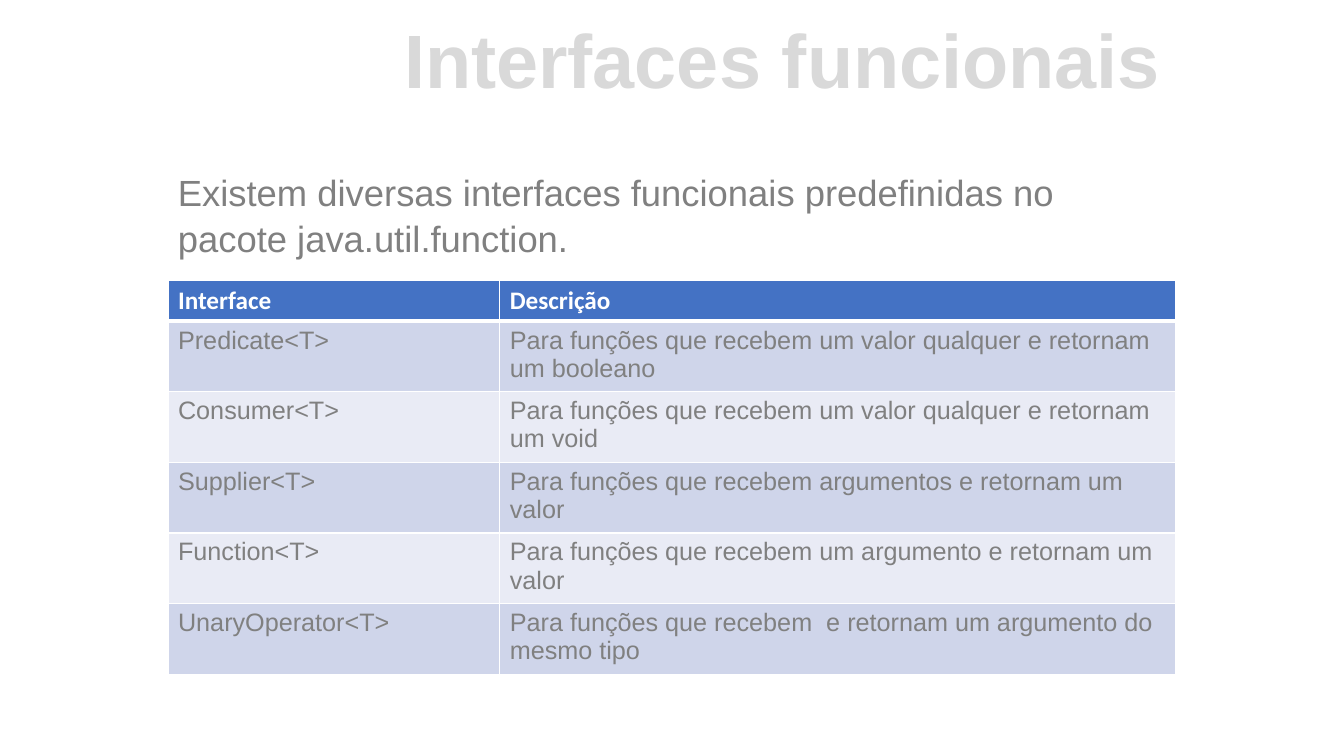
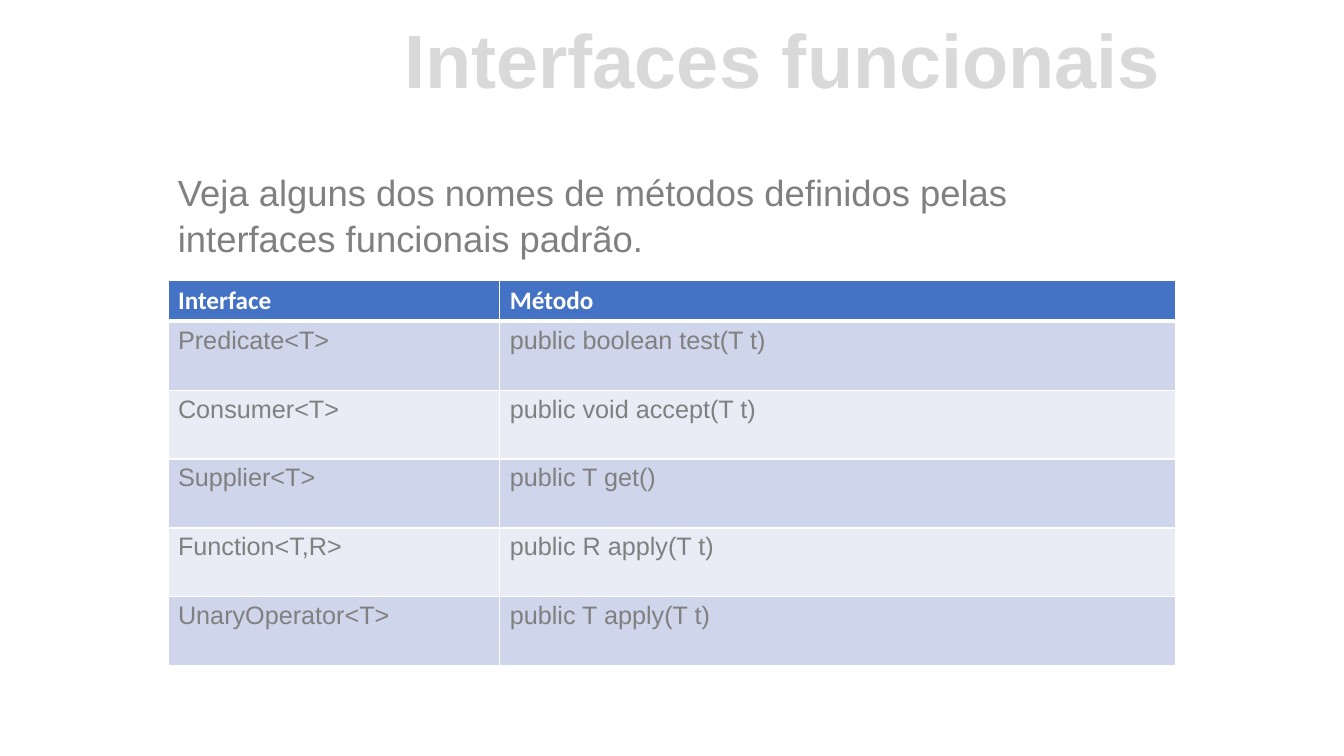
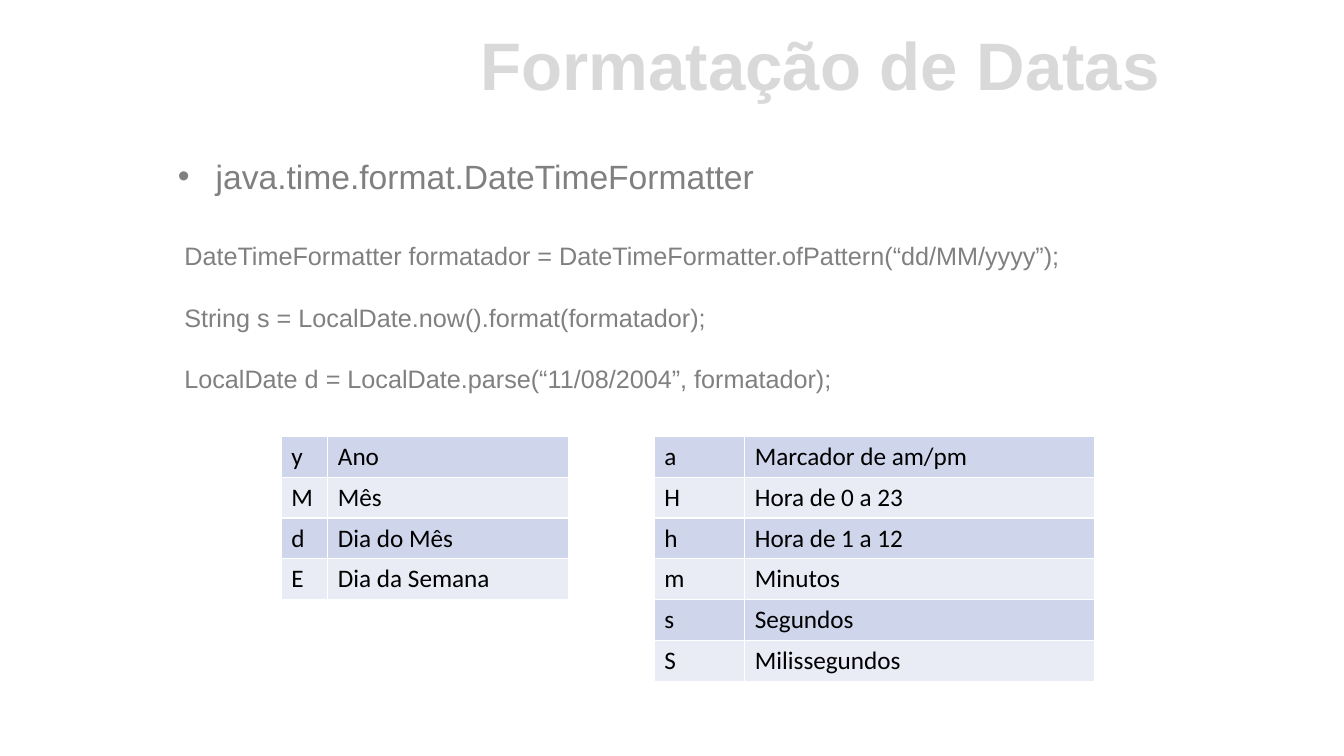
from lxml.etree import SubElement
from pptx import Presentation
from pptx.dml.color import RGBColor
from pptx.enum.text import MSO_ANCHOR, PP_ALIGN
from pptx.oxml.ns import qn
from pptx.util import Pt

WHITE, BLACK, GREY, PALE = "FFFFFF", "000000", "808080", "D9D9D9"
BLUE, BANDS = "4472C4", ("CFD5EA", "E9EBF5")
LEFT, WIDTH = 120, 720
ROW, TALL = 29.2, 49.25


def color(code):
    """Turn a hex string into a colour."""
    return RGBColor.from_string(code)


def write(frame, text, size=18, font="Arial", ink=GREY, bold=False,
          align=PP_ALIGN.LEFT, line=None, gap=0, first=0, bullet=None):
    """Fill a text frame, one paragraph per line of text."""
    frame.word_wrap = True
    for i, words in enumerate(text.split("\n")):
        para = frame.add_paragraph() if i else frame.paragraphs[0]
        para.alignment = align
        para.space_before = Pt(gap if i else first)
        if line:
            para.line_spacing = line
        if bullet:
            props = para._p.get_or_add_pPr()
            props.set("marL", str(Pt(27)))
            props.set("indent", str(-Pt(27)))
            SubElement(props, qn("a:buFont"), typeface="Arial")
            SubElement(props, qn("a:buChar"), char=bullet)
        run = para.add_run()
        run.text = words
        run.font.size, run.font.name, run.font.bold = Pt(size), font, bold
        run.font.color.rgb = color(ink)


def label(slide, box, text, anchor=MSO_ANCHOR.TOP, **style):
    """Add a text box with formatted text."""
    frame = slide.shapes.add_textbox(*map(Pt, box)).text_frame
    frame.vertical_anchor = anchor
    write(frame, text, **style)


def edge(cell, **widths):
    """Draw white cell borders; L, R, T and B give widths in points."""
    props = cell._tc.get_or_add_tcPr()
    for side in "LRTB":
        line = SubElement(props, qn("a:ln" + side), w=str(Pt(widths.get(side, 1))))
        fill = SubElement(line, qn("a:solidFill"))
        SubElement(fill, qn("a:srgbClr"), val=WHITE)


def grid(slide, left, top, cols, rows, head=None, high=ROW, **style):
    """Add a banded table, with an optional blue header row."""
    lines = ([head] if head else []) + rows
    lead = len(lines) - len(rows)
    tall = lead * ROW + len(rows) * high
    box = map(Pt, (left, top, sum(cols), tall))
    table = slide.shapes.add_table(len(lines), len(cols), *box).table
    table.first_row = table.horz_banding = False
    for col, width in zip(table.columns, cols):
        col.width = Pt(width)
    for i, texts in enumerate(lines):
        top_row = i < lead
        table.rows[i].height = Pt(ROW if top_row else high)
        look = dict(font="Calibri", ink=WHITE, bold=True) if top_row else style
        for j, text in enumerate(texts):
            cell = table.cell(i, j)
            edge(cell, B=3 if top_row else 1, T=3 if lead and i == 1 else 1)
            cell.fill.solid()
            cell.fill.fore_color.rgb = color(BLUE if top_row else BANDS[(i - lead) % 2])
            write(cell.text_frame, text, **look)


def start(deck, title, size=54):
    """Add a blank slide with its pale title."""
    slide = deck.slides.add_slide(deck.slide_layouts[6])
    label(slide, (233.3, 20.2, 602.6, 58.3), title, MSO_ANCHOR.BOTTOM, size=size,
          ink=PALE, bold=True, align=PP_ALIGN.RIGHT, line=0.9)
    return slide


def listing(deck, intro, head, rows):
    """Build a slide with an introduction above a wide table."""
    slide = start(deck, "Interfaces funcionais")
    label(slide, (LEFT, 116, WIDTH, 75), intro, size=26, line=1.06)
    grid(slide, LEFT, 200.2, (237, 483), rows, head, TALL)


def dates(deck, topic, code, days, hours):
    """Build the date slide: topic, code and two small tables."""
    slide = start(deck, "Formatação de Datas", 48)
    label(slide, (LEFT, 108, WIDTH, 43), topic, size=24, first=10, bullet="•")
    label(slide, (124.6, 168, WIDTH, 119), code, gap=22.5)
    style = dict(font="Calibri", ink=BLACK)
    grid(slide, 201, 311.6, (33.2, 172), days, **style)
    grid(slide, 467.4, 311.6, (64.6, 250), hours, **style)


deck = Presentation()
deck.slide_width, deck.slide_height = Pt(960), Pt(540)

listing(deck, "Existem diversas interfaces funcionais predefinidas no pacote java.util.function.",
        ("Interface", "Descrição"), [
            ("Predicate<T>", "Para funções que recebem um valor qualquer e retornam um booleano"),
            ("Consumer<T>", "Para funções que recebem um valor qualquer e retornam um void"),
            ("Supplier<T>", "Para funções que recebem argumentos e retornam um valor"),
            ("Function<T>", "Para funções que recebem um argumento e retornam um valor"),
            ("UnaryOperator<T>",
             "Para funções que recebem  e retornam um argumento do mesmo tipo")])

listing(deck, "Veja alguns dos nomes de métodos definidos pelas interfaces funcionais padrão.",
        ("Interface", "Método"), [
            ("Predicate<T>", "public boolean test(T t)"),
            ("Consumer<T>", "public void accept(T t)"),
            ("Supplier<T>", "public T get()"),
            ("Function<T,R>", "public R apply(T t)"),
            ("UnaryOperator<T>", "public T apply(T t)")])

dates(deck, "java.time.format.DateTimeFormatter",
      "DateTimeFormatter formatador = DateTimeFormatter.ofPattern(“dd/MM/yyyy”);\n"
      "String s = LocalDate.now().format(formatador);\n"
      "LocalDate d = LocalDate.parse(“11/08/2004”, formatador);",
      [("y", "Ano"), ("M", "Mês"), ("d", "Dia do Mês"), ("E", "Dia da Semana")],
      [("a", "Marcador de am/pm"), ("H", "Hora de 0 a 23"), ("h", "Hora de 1 a 12"),
       ("m", "Minutos"), ("s", "Segundos"), ("S", "Milissegundos")])

deck.save("out.pptx")
